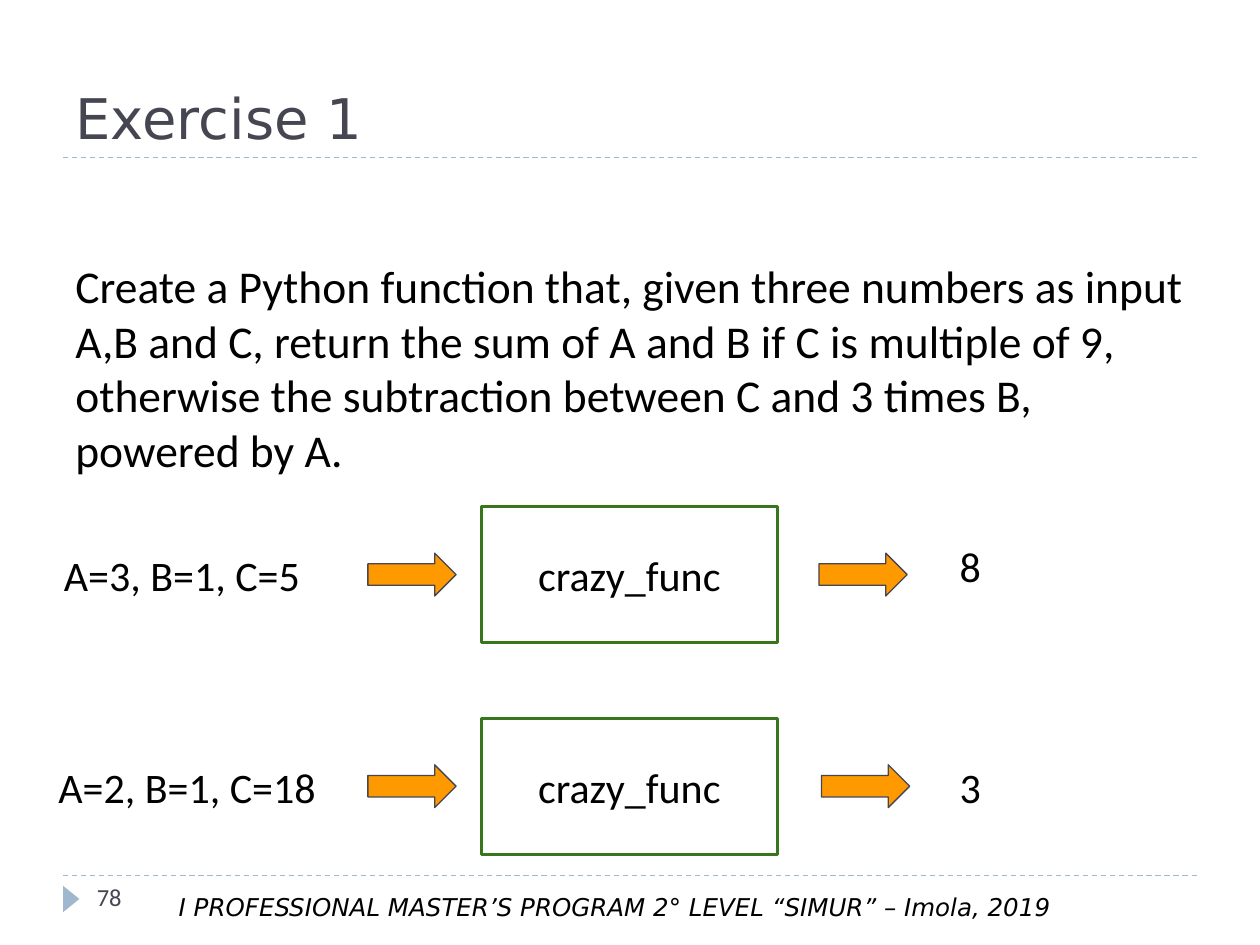
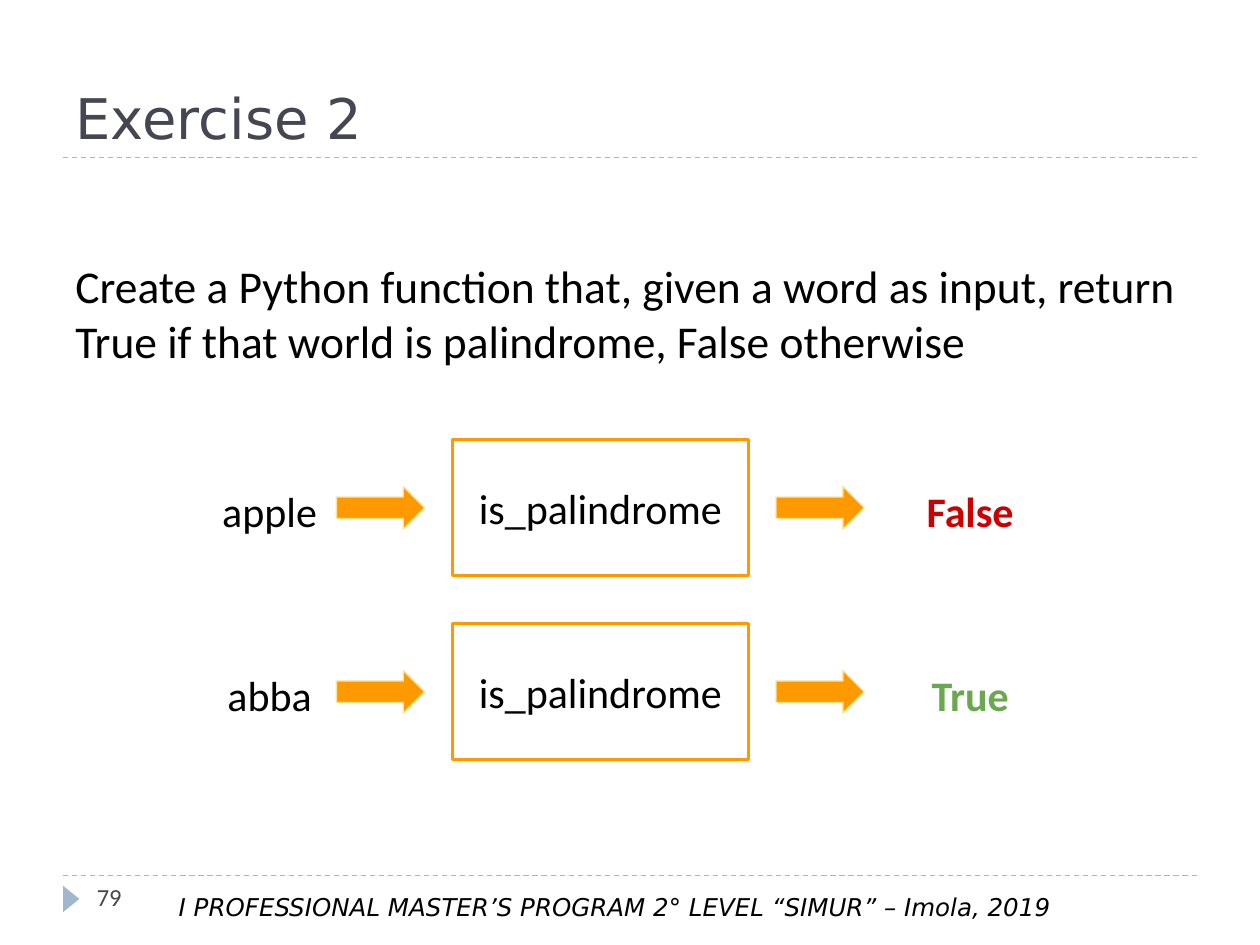
"""Build two Python exercise slides that show sample inputs and results."""
from lxml.etree import SubElement
from pptx import Presentation
from pptx.dml.color import RGBColor
from pptx.enum.dml import MSO_LINE_DASH_STYLE as Dash
from pptx.enum.shapes import MSO_CONNECTOR as Connector, MSO_SHAPE as Shape
from pptx.enum.text import MSO_ANCHOR as Anchor, PP_ALIGN as Align
from pptx.oxml.ns import qn
from pptx.util import Inches, Pt

COLORS = {
    "ink": "464653", "text": "000000", "rule": "9FB8CD", "orange": "FF9900",
    "green": "38761D", "pale": "FFE599", "false": "CC0000", "true": "6AA84F",
}
FOOTER = "I PROFESSIONAL MASTER’S PROGRAM 2° LEVEL “SIMUR” – Imola, 2019"
FIRST_PAGE = 78
EXERCISES = [
    {
        "title": "Exercise 1",
        "task": "Create a Python function that, given three numbers as input A,B and C, "
                "return the sum of A and B if C is multiple of 9, otherwise the "
                "subtraction between C and 3 times B, powered by A.",
        "task_height": 2.09,
        "function": "crazy_func",
        "box_line": "green", "arrow_line": "ink",
        "box_left": 3.82, "arrow_in_left": 2.92,
        "input_size": (2.53, 0.6), "input_drop": 0.24,
        "examples": [
            {"top": 4.02, "input": "A=3, B=1, C=5", "input_left": 0.18,
             "arrow_out_left": 6.5, "result": "8", "result_drop": 0.17},
            {"top": 5.7, "input": "A=2, B=1, C=18", "input_left": 0.22,
             "arrow_out_left": 6.52, "result": "3", "result_drop": 0.24},
        ],
    },
    {
        "title": "Exercise 2",
        "task": "Create a Python function that, given a word as input, return True "
                "if that world is palindrome, False otherwise",
        "task_height": 5.5,
        "function": "is_palindrome",
        "box_line": "orange", "arrow_line": "pale",
        "box_left": 3.59, "arrow_in_left": 2.67,
        "input_size": (1.3, 0.34), "input_drop": 0.26,
        "examples": [
            {"top": 3.49, "input": "apple", "input_left": 1.49,
             "arrow_out_left": 6.16, "result": "False", "result_drop": 0.26,
             "result_format": {"color": "false", "bold": True}},
            {"top": 4.95, "input": "abba", "input_left": 1.49,
             "arrow_out_left": 6.16, "result": "True", "result_drop": 0.26,
             "result_format": {"color": "true", "bold": True}},
        ],
    },
]
BOX_SIZE = (2.35, 1.08)
ARROW_SIZE = (0.7, 0.34)
ARROW_DROP = (BOX_SIZE[1] - ARROW_SIZE[1]) / 2
RESULT_LEFT, RESULT_SIZE = 7.05, (1.3, 0.34)
LABEL = {"align": Align.CENTER, "top_margin": 0.1, "bottom_margin": 0.1}


def rgb(name):
    return RGBColor.from_string(COLORS[name])


def write(shape, text, size=24, font="Calibri", color="text", bold=False, italic=False,
          align=Align.LEFT, anchor=Anchor.TOP, top_margin=0.05, bottom_margin=0.05):
    frame = shape.text_frame
    frame.word_wrap = True
    frame.vertical_anchor = anchor
    frame.margin_left = frame.margin_right = Inches(0.1)
    frame.margin_top, frame.margin_bottom = Inches(top_margin), Inches(bottom_margin)
    paragraph = frame.paragraphs[0]
    paragraph.alignment = align
    run = paragraph.add_run()
    run.text = text
    run.font.name, run.font.size = font, Pt(size)
    run.font.bold, run.font.italic = bold, italic
    run.font.color.rgb = rgb(color)


def add_text(slide, text, left, top, box_size, **text_format):
    box = slide.shapes.add_textbox(*map(Inches, (left, top, *box_size)))
    write(box, text, **text_format)


def add_figure(slide, kind, left, top, figure_size, fill=None, line=None, width=0.75):
    shape = slide.shapes.add_shape(kind, *map(Inches, (left, top, *figure_size)))
    shape.shadow.inherit = False
    if fill:
        shape.fill.solid()
        shape.fill.fore_color.rgb = rgb(fill)
    else:
        shape.fill.background()
    if line:
        shape.line.color.rgb = rgb(line)
        shape.line.width = Pt(width)
    else:
        shape.line.fill.background()
    return shape


def add_rule(slide, top):
    rule = slide.shapes.add_connector(
        Connector.STRAIGHT, *map(Inches, (0.5, top, 9.5, top)))
    rule.line.color.rgb = rgb("rule")
    rule.line.width = Pt(0.75)
    rule.line.dash_style = Dash.DASH
    SubElement(rule.element.spPr, qn("a:effectLst"))


def add_frame(slide, title, page):
    for top in (6.95, 1.25):
        add_rule(slide, top)
    marker = add_figure(slide, Shape.ISOSCELES_TRIANGLE, 0.46, 7.07, (0.21, 0.13), "rule")
    marker.rotation = 90
    heading = slide.shapes.title
    heading.left, heading.top, heading.width, heading.height = map(
        Inches, (0.5, 0.17, 9, 1.08))
    write(heading, title, size=32, font="DejaVu Sans", color="ink", anchor=Anchor.BOTTOM)
    add_text(slide, FOOTER, 1.32, 7.03, (7.35, 0.34),
             size=14, font="DejaVu Sans", italic=True)
    add_text(slide, str(page), 0.67, 6.95, (2.17, 0.4), size=14, color="ink")


def add_example(slide, exercise, example):
    top = example["top"]
    box = add_figure(slide, Shape.RECTANGLE, exercise["box_left"], top, BOX_SIZE,
                     line=exercise["box_line"], width=1.5)
    write(box, exercise["function"], anchor=Anchor.MIDDLE, **LABEL)
    for left in (exercise["arrow_in_left"], example["arrow_out_left"]):
        add_figure(slide, Shape.RIGHT_ARROW, left, top + ARROW_DROP, ARROW_SIZE,
                   fill="orange", line=exercise["arrow_line"])
    add_text(slide, example["input"], example["input_left"],
             top + exercise["input_drop"], exercise["input_size"], **LABEL)
    add_text(slide, example["result"], RESULT_LEFT, top + example["result_drop"],
             RESULT_SIZE, **LABEL, **example.get("result_format", {}))


def main():
    presentation = Presentation()
    presentation.slide_width, presentation.slide_height = Inches(10), Inches(7.5)
    for page, exercise in enumerate(EXERCISES, FIRST_PAGE):
        slide = presentation.slides.add_slide(presentation.slide_layouts[5])
        add_frame(slide, exercise["title"], page)
        add_text(slide, exercise["task"], 0.5, 1.33, (9, exercise["task_height"]),
                 size=26, top_margin=0.72)
        for example in exercise["examples"]:
            add_example(slide, exercise, example)
    presentation.save("out.pptx")


if __name__ == "__main__":
    main()
